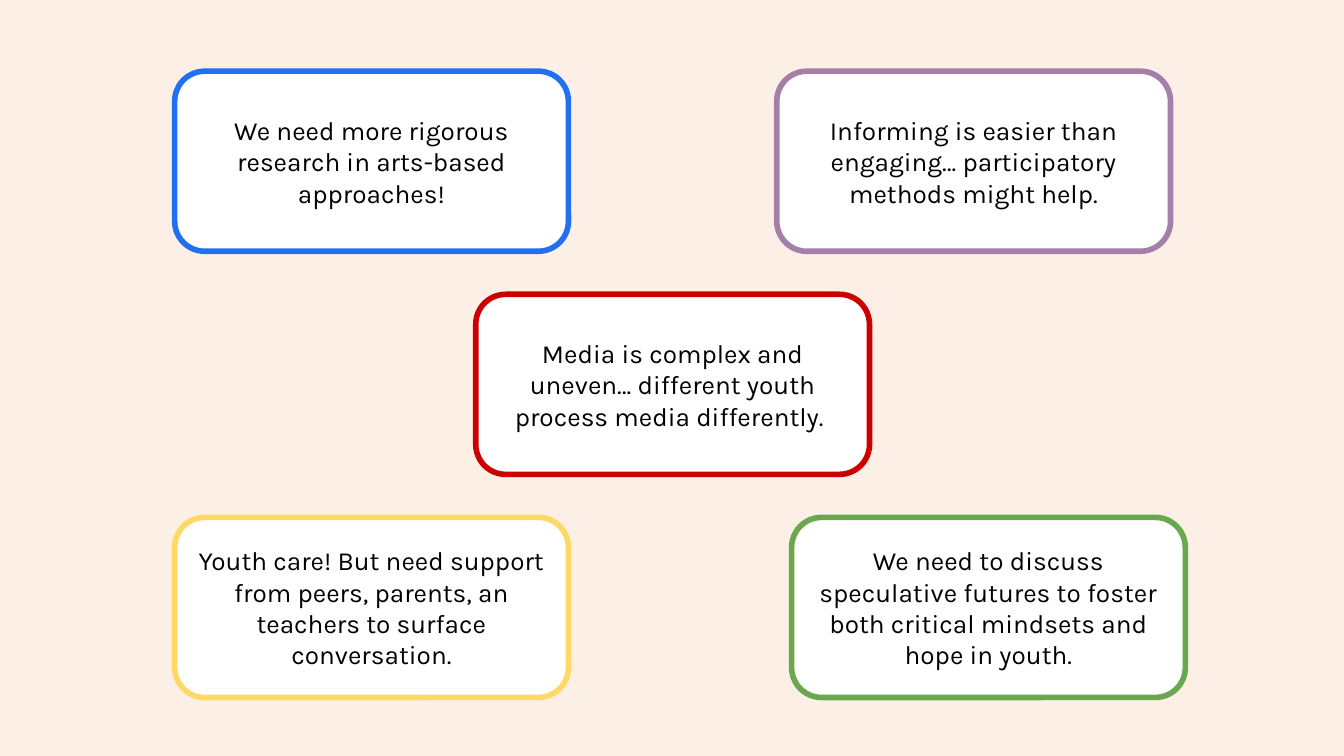
from dataclasses import dataclass

import pptx
import pptx.dml.color
import pptx.enum.shapes
import pptx.enum.text
import pptx.util

Inches = pptx.util.Inches
RGB = pptx.dml.color.RGBColor.from_string


@dataclass(frozen=True)
class Theme:
    background: str = "FCEFE5"
    card: str = "FFFFFF"
    text: str = "000000"
    blue: str = "2170F2"
    purple: str = "A47FA7"
    red: str = "CC0000"
    yellow: str = "FFD966"
    green: str = "6AA84F"
    font: str = "Karla"
    text_size: int = 14
    border_width: int = 3


@dataclass(frozen=True)
class Card:
    left: float
    row: int
    border: str
    text: str


THEME = Theme()

# Widescreen slide, 16:9
SLIDE_WIDTH = Inches(10)
SLIDE_HEIGHT = SLIDE_WIDTH * 9 // 16

# Card grid, in inches
CARD_WIDTH, CARD_HEIGHT = 2.93, 1.34
FIRST_TOP, ROW_STEP = 0.53, 1.66
INSET = 0.1

CARDS = [
    Card(1.3, 0, THEME.blue,
         "We need more rigorous research in arts-based approaches!"),
    Card(5.78, 0, THEME.purple,
         "Informing is easier than engaging… participatory methods might help."),
    Card(3.54, 1, THEME.red,
         "Media is complex and uneven… different youth process media differently. "),
    Card(1.3, 2, THEME.yellow,
         "Youth care! But need support from peers, parents, an teachers "
         "to surface conversation."),
    Card(5.89, 2, THEME.green,
         "We need to discuss speculative futures to foster both critical "
         "mindsets and hope in youth."),
]

FRAME_FORMAT = {
    "word_wrap": True,
    "vertical_anchor": pptx.enum.text.MSO_ANCHOR.MIDDLE,
    "margin_left": Inches(INSET),
    "margin_top": Inches(INSET),
    "margin_right": Inches(INSET),
    "margin_bottom": Inches(INSET),
}
FONT_FORMAT = {"name": THEME.font, "size": pptx.util.Pt(THEME.text_size)}


def apply_format(target: object, values: dict) -> None:
    for name, value in values.items():
        setattr(target, name, value)


def add_card(s: pptx.slide.Slide, card: Card) -> None:
    sp = s.shapes.add_shape(
        pptx.enum.shapes.MSO_SHAPE.ROUNDED_RECTANGLE,
        Inches(card.left), Inches(FIRST_TOP + card.row * ROW_STEP),
        Inches(CARD_WIDTH), Inches(CARD_HEIGHT))
    sp.shadow.inherit = False
    sp.fill.solid()
    sp.fill.fore_color.rgb = RGB(THEME.card)
    sp.line.color.rgb = RGB(card.border)
    sp.line.width = pptx.util.Pt(THEME.border_width)

    # Centred message
    tf = sp.text_frame
    apply_format(tf, FRAME_FORMAT)
    p = tf.paragraphs[0]
    p.alignment = pptx.enum.text.PP_ALIGN.CENTER
    r = p.add_run()
    r.text = card.text
    apply_format(r.font, FONT_FORMAT)
    r.font.color.rgb = RGB(THEME.text)


def main() -> None:
    prs = pptx.Presentation()
    prs.slide_width, prs.slide_height = SLIDE_WIDTH, SLIDE_HEIGHT
    s = prs.slides.add_slide(prs.slide_layouts[6])

    # Background
    fill = s.background.fill
    fill.solid()
    fill.fore_color.rgb = RGB(THEME.background)

    # Takeaway cards
    for card in CARDS:
        add_card(s, card)

    prs.save("out.pptx")


if __name__ == "__main__":
    main()
